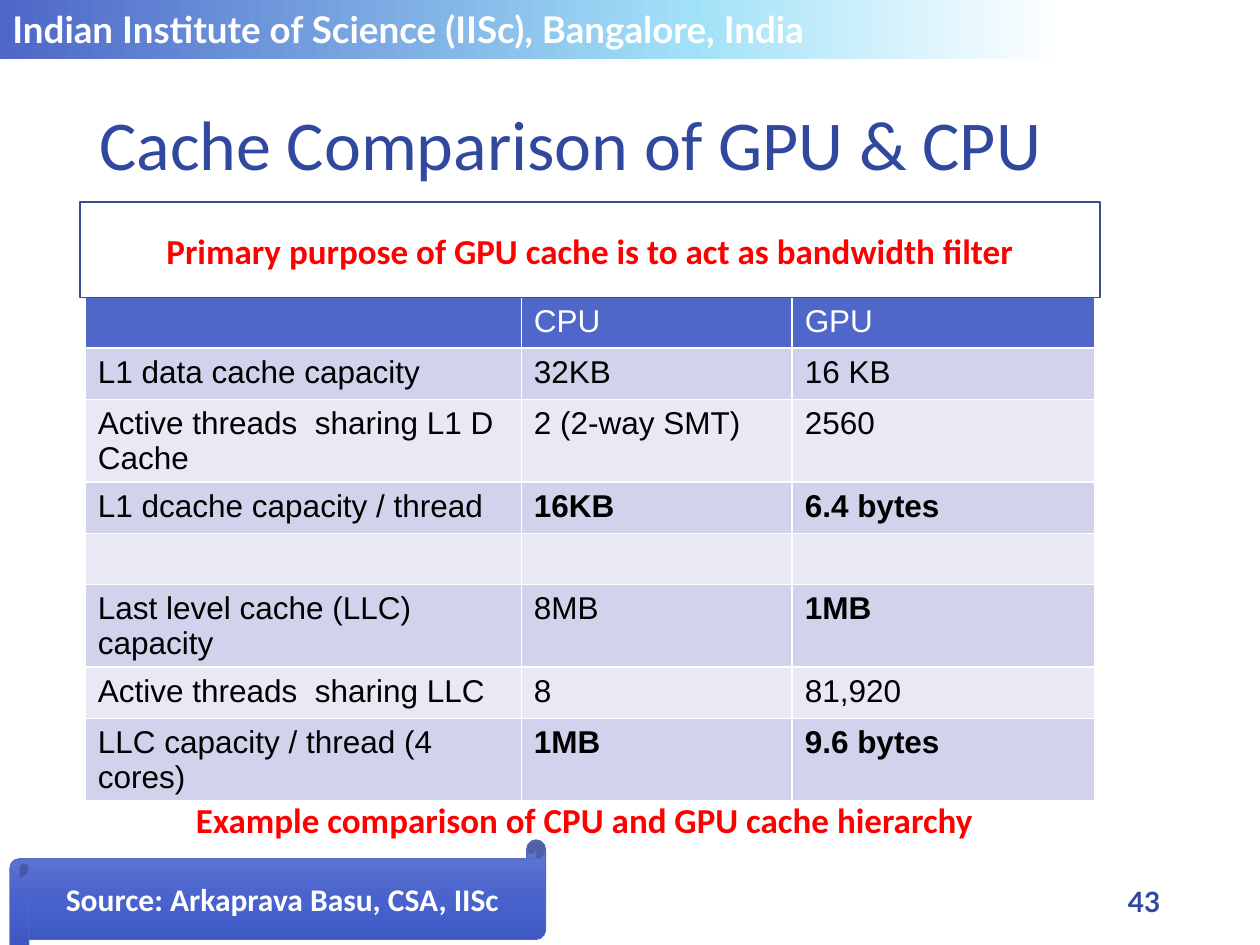
import pptx
import pptx.util
import pptx.dml.color
import pptx.enum.shapes
import pptx.enum.text
import pptx.oxml
import pptx.oxml.ns

Cm = pptx.util.Cm
Pt = pptx.util.Pt
Shape = pptx.enum.shapes.MSO_SHAPE
Align = pptx.enum.text.PP_ALIGN
Anchor = pptx.enum.text.MSO_ANCHOR
rgb = pptx.dml.color.RGBColor.from_string
space = pptx.oxml.ns.nsdecls("a")

hues = {"white": "FFFFFF", "black": "000000", "red": "FF0000",
        "navy": "31489F", "frame": "3A4C94", "blue": "4E67C8",
        "dark": "D0D3EB", "light": "E9E9F5"}


def write(frame, text, size, font, hue, bold=False, align=Align.LEFT,
          anchor=Anchor.MIDDLE):
    frame.word_wrap = True
    frame.vertical_anchor = anchor
    par = frame.paragraphs[0]
    par.alignment = align
    run = par.add_run()
    run.text = text
    run.font.size = Pt(size)
    run.font.name = font
    run.font.bold = bold
    run.font.color.rgb = rgb(hues[hue])
    return par


def blend(shape, stops, angle):
    marks = "".join(f'<a:gs pos="{pos * 1000}"><a:srgbClr val="{hue}"/></a:gs>'
                    for pos, hue in stops)
    grad = pptx.oxml.parse_xml(
        f'<a:gradFill {space} rotWithShape="1"><a:gsLst>{marks}</a:gsLst>'
        f'<a:lin ang="{angle * 60000}" scaled="0"/></a:gradFill>')
    shape.element.spPr.find(pptx.oxml.ns.qn("a:prstGeom")).addnext(grad)


deck = pptx.Presentation()
deck.slide_width, deck.slide_height = Cm(25.4), Cm(19.05)
slide = deck.slides.add_slide(deck.slide_layouts[5])
shapes = slide.shapes

# Banner
bar = shapes.add_shape(Shape.RECTANGLE, 0, 0, Cm(22.1), Cm(1.19))
bar.shadow.inherit = False
blend(bar, [(0, hues["blue"]), (63, "A1E1F8"), (97, hues["white"])], 0)
bar.line.fill.background()
par = write(bar.text_frame, "Indian Institute of Science (IISc), Bangalore, India",
            21, "Lato", "white", True)
par.line_spacing = Pt(24)

# Title
title = shapes.title
title.left, title.top = Cm(1.75), Cm(1.14)
title.width, title.height = Cm(22.81), Cm(3.68)
title.text_frame.auto_size = pptx.enum.text.MSO_AUTO_SIZE.NONE
par = write(title.text_frame, "Cache Comparison of GPU & CPU", 40, "Calibri", "navy")
par.line_spacing = 0.9

# Page number
page = shapes.add_textbox(Cm(21.13), Cm(17.65), Cm(2.51), Cm(1.02))
write(page.text_frame, "43", 16, "Lato", "navy", True, Align.RIGHT)

# Cache table: a star marks a bold cell
low, tall = 1.03, 1.67
rows = [
    (low, "", "CPU", "GPU"),
    (low, "L1 data cache capacity", "32KB", "16 KB"),
    (tall, "Active threads  sharing L1 D Cache", "2 (2-way SMT)", "2560"),
    (low, "L1 dcache capacity / thread", "*16KB", "*6.4 bytes"),
    (low, "", "", ""),
    (tall, "Last level cache (LLC) capacity", "8MB", "*1MB"),
    (low, "Active threads  sharing LLC", "8", "81,920"),
    (tall, "LLC capacity / thread (4 cores)", "*1MB", "*9.6 bytes"),
]
wide = [8.79, 5.46, 6.1]
grid = shapes.add_table(len(rows), len(wide), Cm(1.72), Cm(5.99),
                        Cm(sum(wide)), Cm(sum(row[0] for row in rows))).table
for col, width in zip(grid.columns, wide):
    col.width = Cm(width)
for i, (high, *texts) in enumerate(rows):
    grid.rows[i].height = Cm(high)
    back = "blue" if i == 0 else "dark" if i % 2 else "light"
    for j, text in enumerate(texts):
        cell = grid.cell(i, j)
        cell.margin_bottom = Cm(0)
        for n, side in enumerate(("lnL", "lnR", "lnT", "lnB")):
            edge = pptx.oxml.parse_xml(
                f'<a:{side} {space} w="12700"><a:solidFill>'
                f'<a:srgbClr val="{hues["white"]}"/></a:solidFill></a:{side}>')
            cell._tc.get_or_add_tcPr().insert(n, edge)
        cell.fill.solid()
        cell.fill.fore_color.rgb = rgb(hues[back])
        if text:
            write(cell.text_frame, text.lstrip("*"), 18, "Arial",
                  "black" if i else "white", text.startswith("*"),
                  anchor=Anchor.TOP)

# Caption below the table
note = shapes.add_textbox(Cm(1.5), Cm(15.98), Cm(20.57), Cm(1.12))
write(note.text_frame, "Example comparison of CPU and GPU cache hierarchy",
      20, "Calibri", "red", True, Align.CENTER, Anchor.TOP)

# Key message
box = shapes.add_shape(Shape.RECTANGLE, Cm(1.61), Cm(4.08), Cm(20.57), Cm(1.92))
box.shadow.inherit = False
box.fill.background()
box.line.color.rgb = rgb(hues["frame"])
box.line.width = Pt(1)
write(box.text_frame, "Primary purpose of GPU cache is to act as bandwidth filter",
      20, "Calibri", "red", True, Align.CENTER)

# Source scroll
scroll = shapes.add_shape(Shape.HORIZONTAL_SCROLL, Cm(0.2), Cm(16.93),
                          Cm(10.8), Cm(2.39))
scroll.adjustments[0] = 0.16
scroll.shadow.inherit = False
blend(scroll, [(0, "687ACF"), (50, "4863CE"), (100, "3954BE")], 90)
scroll.line.color.rgb = rgb(hues["blue"])
scroll.line.width = Pt(0.5)
write(scroll.text_frame, "Source: Arkaprava Basu, CSA, IISc",
      18, "Calibri", "white", True, Align.CENTER)

deck.save("out.pptx")
